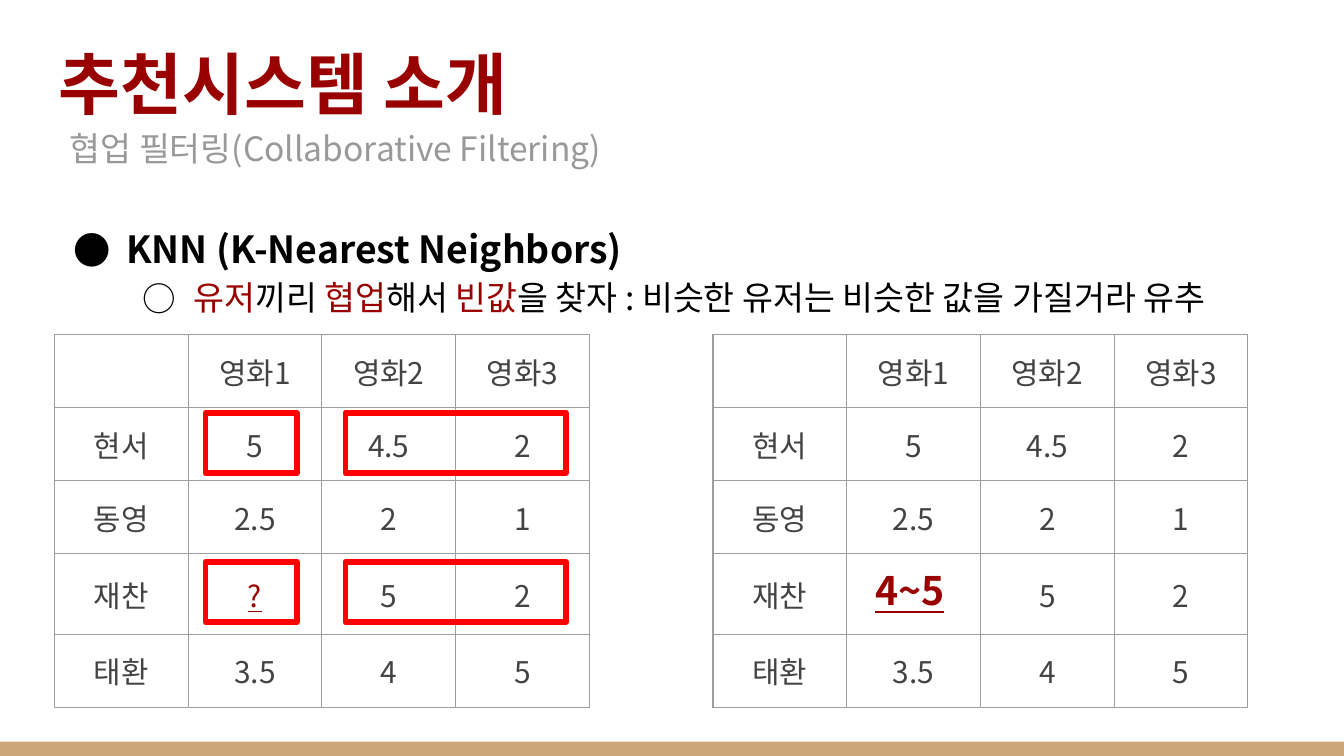
from dataclasses import dataclass

from lxml import etree
from pptx import Presentation
from pptx import util as u
from pptx.dml.color import RGBColor
from pptx.enum import shapes, text
from pptx.oxml.ns import qn

FONT = "Noto Sans CJK KR"
BLACK, DARK, GREY, MAROON = "000000", "434343", "999999", "990000"
RED, TAN, BORDER = "FF0000", "CCA677", "9E9E9E"

prs = Presentation()
prs.slide_width, prs.slide_height = u.Inches(10), u.Inches(5.625)
s = prs.slides.add_slide(prs.slide_layouts[6])


@dataclass
class Area:
    """A rectangle in percent of the slide's width and height."""
    x: float
    y: float
    w: float
    h: float

    def emu(self) -> tuple:
        return across(self.x), down(self.y), across(self.w), down(self.h)


@dataclass
class Run:
    text: str
    size: float
    color: str = BLACK
    bold: bool = False
    underline: bool = False


@dataclass
class Para:
    runs: list
    spacing: float = 1.0
    bullet: str = ""
    level: int = 0
    margin: float = 0
    hang: float = 0


def across(pct: float) -> int:
    return int(prs.slide_width * pct / 100)


def down(pct: float) -> int:
    return int(prs.slide_height * pct / 100)


def rgb(color: str) -> RGBColor:
    return RGBColor.from_string(color)


def child(parent, tag: str, **attrs):
    return etree.SubElement(parent, qn(tag), attrs)


def add_run(p, run: Run) -> None:
    r = p.add_run()
    r.text = run.text
    f = r.font
    f.size, f.bold, f.underline = u.Pt(run.size), run.bold, run.underline
    f.color.rgb = rgb(run.color)
    f.name = FONT
    child(f._element, "a:ea", typeface=FONT)


def add_bullet(p, para: Para) -> None:
    pPr = p._p.get_or_add_pPr()
    pPr.set("marL", str(across(para.margin)))
    pPr.set("indent", str(-across(para.hang)))
    child(child(pPr, "a:buClr"), "a:srgbClr", val=BLACK)
    child(pPr, "a:buFont", typeface=FONT)
    child(pPr, "a:buChar", char=para.bullet)


def add_text(area: Area, paras: list, anchor=text.MSO_ANCHOR.TOP, align=None) -> None:
    tf = s.shapes.add_textbox(*area.emu()).text_frame
    tf.word_wrap, tf.vertical_anchor = True, anchor
    tf.margin_left = tf.margin_right = tf.margin_top = tf.margin_bottom = u.Inches(0.1)
    for i, para in enumerate(paras):
        p = tf.add_paragraph() if i else tf.paragraphs[0]
        p.level, p.alignment, p.line_spacing = para.level, align, para.spacing
        if para.bullet:
            add_bullet(p, para)
        for run in para.runs:
            add_run(p, run)


def add_border(cell) -> None:
    tcPr = cell._tc.get_or_add_tcPr()
    for i, side in enumerate(("a:lnL", "a:lnR", "a:lnT", "a:lnB")):
        ln = etree.Element(qn(side), w=str(u.Pt(0.75)))
        child(child(ln, "a:solidFill"), "a:srgbClr", val=BORDER)
        tcPr.insert(i, ln)


def add_ratings(x: float, y: float, rows: list) -> None:
    area = Area(x, y, COL * len(rows[0]), sum(ROWS))
    table = s.shapes.add_table(len(rows), len(rows[0]), *area.emu()).table
    for column in table.columns:
        column.width = across(COL)
    for i, values in enumerate(rows):
        table.rows[i].height = down(ROWS[i])
        for j, value in enumerate(values):
            cell = table.cell(i, j)
            cell.fill.background()
            cell.vertical_anchor = text.MSO_ANCHOR.MIDDLE
            cell.margin_left = cell.margin_right = u.Inches(0.1)
            cell.margin_top = cell.margin_bottom = u.Inches(0.1)
            add_border(cell)
            p = cell.text_frame.paragraphs[0]
            p.alignment = text.PP_ALIGN.CENTER
            if value:
                unknown = value == "?"
                add_run(p, Run(value, 16, MAROON if unknown else DARK, underline=unknown))
            else:
                child(p._p, "a:endParaRPr", sz="1600")


def add_frame(parent, area: Area) -> None:
    sp = parent.shapes.add_shape(shapes.MSO_SHAPE.RECTANGLE, *area.emu())
    sp.shadow.inherit = False
    sp.fill.background()
    sp.line.color.rgb, sp.line.width = rgb(RED), u.Pt(3)
    child(sp.line._get_or_add_ln(), "a:round")


# Footer band
band = s.shapes.add_shape(shapes.MSO_SHAPE.RECTANGLE, *Area(0, 98.1, 100, 1.9).emu())
band.shadow.inherit = False
band.fill.solid()
band.fill.fore_color.rgb = rgb(TAN)
band.line.fill.background()

# Title, explanation and subtitle
add_text(Area(3.4, 1.8, 93.2, 16.2), [Para([Run("추천시스템 소개", 36, MAROON, True)])],
         text.MSO_ANCHOR.BOTTOM)
phrases = [("유저", MAROON), ("끼리 ", BLACK), ("협업", MAROON), ("해서 ", BLACK),
           ("빈값", MAROON), ("을 찾자 : 비슷한 유저는 비슷한 값을 가질거라 유추", BLACK)]
add_text(Area(3.4, 25.2, 93.2, 65.3), [
    Para([Run("KNN (K-Nearest Neighbors)", 20, bold=True)], 1.5, "●", 0, 5, 3.9),
    Para([Run(t, 18, c) for t, c in phrases], 1.15, "○", 1, 10, 3.8),
])
add_text(Area(4.2, 14.4, 93.2, 9.2),
         [Para([Run("협업 필터링(Collaborative Filtering)", 18, GREY)], 1.15)])

# Rating tables: the missing value, then its estimate
COL, ROWS = 9.95, [9.66, 9.66, 9.66, 10.7, 9.66]


def ratings(missing: str) -> list:
    return [["", "영화1", "영화2", "영화3"],
            ["현서", "5", "4.5", "2"],
            ["동영", "2.5", "2", "1"],
            ["재찬", missing, "5", "2"],
            ["태환", "3.5", "4", "5"]]


add_ratings(4.05, 44.25, ratings("?"))
add_ratings(53.05, 44.25, ratings(""))
add_text(Area(63.9, 73.2, 7.6, 10), [Para([Run("4~5", 21, MAROON, True, True)])],
         align=text.PP_ALIGN.CENTER)

# Frames around the matching ratings of the two similar users
for left, width in ((25.7, 16.4), (15.3, 6.8)):
    pair = s.shapes.add_group_shape()
    for top in (54.6, 74.3):
        add_frame(pair, Area(left, top, width, 8))

prs.save("out.pptx")
